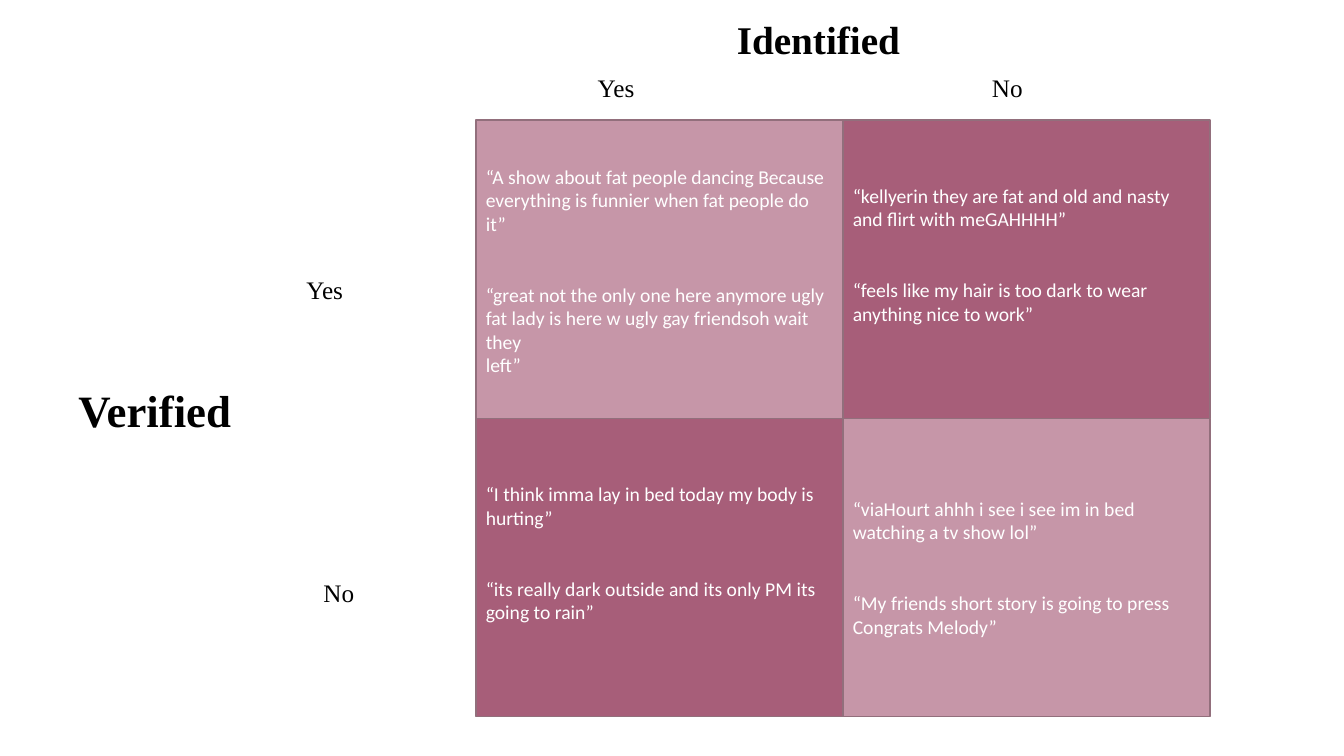
"""Build a two-by-two matrix of quotes, identified against verified."""
from dataclasses import dataclass

from pptx import Presentation
from pptx import util as u
from pptx.dml.color import RGBColor
from pptx.enum import shapes, text


@dataclass(frozen=True)
class Theme:
    """Colours, fonts and type sizes of the slide."""
    light: str = "C696A8"
    dark: str = "A75E79"
    border: str = "926F7C"
    ink: str = "000000"
    paper: str = "FFFFFF"
    label_font: str = "Times New Roman"
    quote_font: str = "Calibri"
    column_heading: int = 28
    row_heading: int = 32
    label: int = 18
    quote: int = 14
    quote_gap: int = 34


THEME = Theme()
LEFT, TOP = 4.72, 1.19
COLUMN, ROW = 3.64, 2.96
LABEL_WIDTH, LABEL_HEIGHT = 1.67, 0.4

QUOTES = [
    [
        (["“A show about fat people dancing Because everything is funnier when fat people do it”"],
         ["“great not the only one here anymore ugly fat lady is here w ugly gay friendsoh wait they",
          "left”"]),
        (["“kellyerin they are fat and old and nasty and flirt with meGAHHHH”"],
         ["“feels like my hair is too dark to wear anything nice to work”"]),
    ],
    [
        (["“I think imma lay in bed today my body is hurting”"],
         ["“its really dark outside and its only PM its going to rain”"]),
        (["“viaHourt ahhh i see i see im in bed watching a tv show lol”"],
         ["“My friends short story is going to press Congrats Melody”"]),
    ],
]
BOTTOM_INSETS = [[0.02, 0.34], [0.34, 0.05]]


def write(paragraph, words, *, font, size, color, bold=False, before=0):
    """Put formatted words into a paragraph."""
    paragraph.alignment = text.PP_ALIGN.LEFT
    if before:
        paragraph.space_before = u.Pt(before)
    run = paragraph.add_run()
    run.text = words
    run.font.name = font
    run.font.size = u.Pt(size)
    run.font.bold = bold
    run.font.color.rgb = RGBColor.from_string(color)


def add_label(slide, words, left, top, width, height, size, bold=False):
    """Add an axis heading or a category label."""
    box = slide.shapes.add_textbox(*map(u.Inches, (left, top, width, height)))
    box.text_frame.word_wrap = True
    write(box.text_frame.paragraphs[0], words, font=THEME.label_font,
          size=size, color=THEME.ink, bold=bold)


def add_quadrant(slide, row, column):
    """Add one coloured cell of the matrix with its quotes."""
    place = (LEFT + column * COLUMN, TOP + row * ROW, COLUMN, ROW)
    shape = slide.shapes.add_shape(shapes.MSO_SHAPE.RECTANGLE, *map(u.Inches, place))
    shape.shadow.inherit = False
    shape.fill.solid()
    fill = THEME.light if row == column else THEME.dark
    shape.fill.fore_color.rgb = RGBColor.from_string(fill)
    shape.line.color.rgb = RGBColor.from_string(THEME.border)
    shape.line.width = u.Pt(1)
    frame = shape.text_frame
    frame.word_wrap = True
    frame.vertical_anchor = text.MSO_ANCHOR.MIDDLE
    frame.margin_bottom = u.Inches(BOTTOM_INSETS[row][column])
    for quote_index, quote in enumerate(QUOTES[row][column]):
        for line_index, words in enumerate(quote):
            first = quote_index == line_index == 0
            paragraph = frame.paragraphs[0] if first else frame.add_paragraph()
            gap = THEME.quote_gap if quote_index and not line_index else 0
            write(paragraph, words, font=THEME.quote_font, size=THEME.quote,
                  color=THEME.paper, before=gap)


def main():
    """Build and save the slide."""
    presentation = Presentation()
    presentation.slide_width = u.Inches(13.33)
    presentation.slide_height = u.Inches(7.5)
    slide = presentation.slides.add_slide(presentation.slide_layouts[6])
    for row in range(2):
        for column in range(2):
            add_quadrant(slide, row, column)
    add_label(slide, "Identified", 7.21, 0.1, COLUMN, 0.57, THEME.column_heading, bold=True)
    add_label(slide, "Verified", 0.68, 3.75, COLUMN, 0.64, THEME.row_heading, bold=True)
    for words, left, top in (("Yes", 5.83, 0.67), ("No", 9.74, 0.67),
                             ("Yes", 2.94, 2.67), ("No", 3.11, 5.68)):
        add_label(slide, words, left, top, LABEL_WIDTH, LABEL_HEIGHT, THEME.label)
    presentation.save("out.pptx")


if __name__ == "__main__":
    main()
